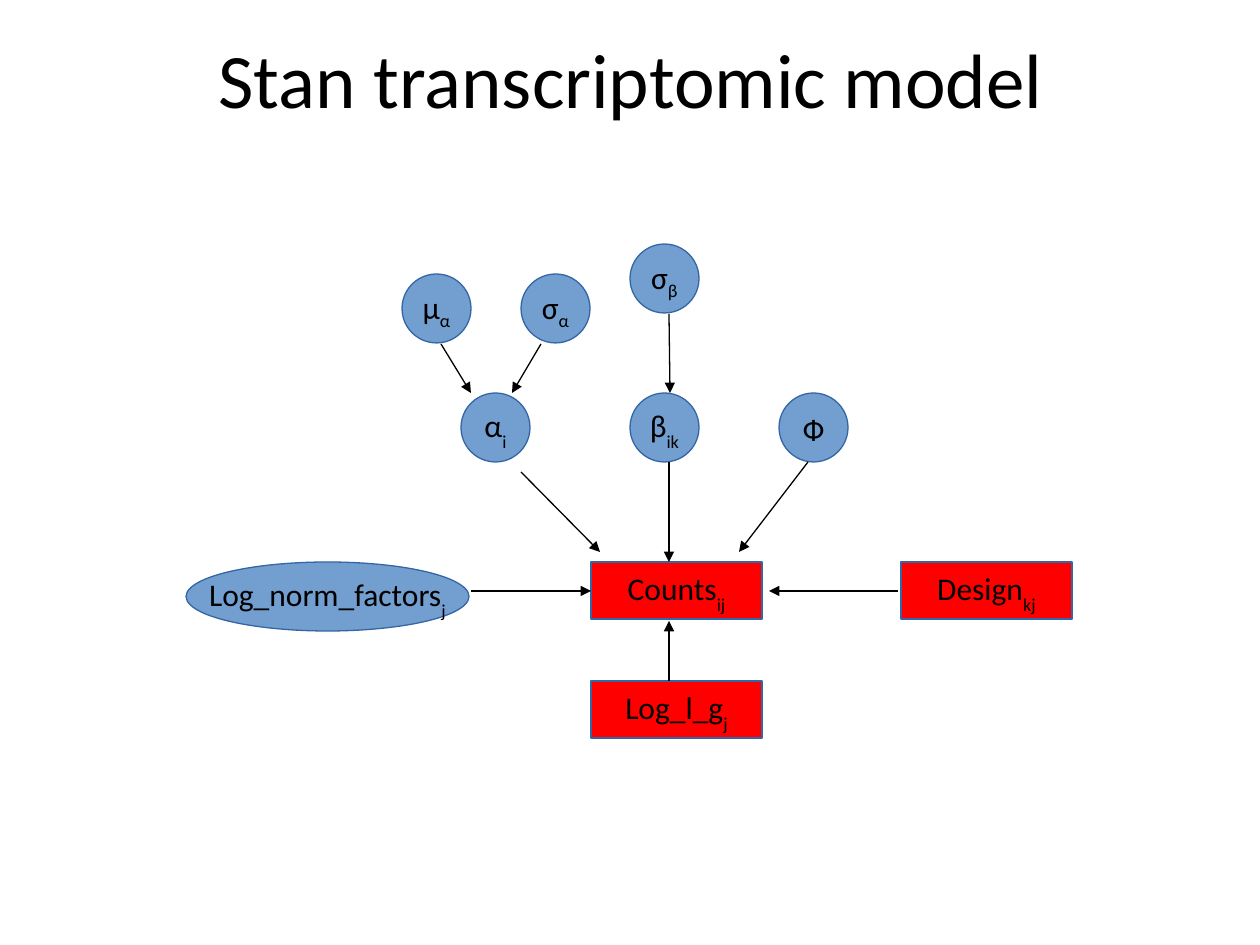
from typing import NamedTuple

from lxml import etree
from pptx import Presentation
from pptx.dml.color import RGBColor
from pptx.enum.shapes import MSO_CONNECTOR, MSO_SHAPE
from pptx.enum.text import MSO_ANCHOR, MSO_AUTO_SIZE, PP_ALIGN
from pptx.oxml.ns import qn
from pptx.util import Emu, Pt

PIXELS_PER_INCH = 126
FONT = "Calibri"
BLACK = RGBColor(0x00, 0x00, 0x00)
RED = RGBColor(0xFF, 0x00, 0x00)
BLUE = RGBColor(0x72, 0x9F, 0xCF)
OUTLINE = RGBColor(0x34, 0x65, 0xA4)
RECTANGLE, ELLIPSE = MSO_SHAPE.RECTANGLE, MSO_SHAPE.OVAL
STRAIGHT = MSO_CONNECTOR.STRAIGHT
MIDDLE = MSO_ANCHOR.MIDDLE
CENTER = PP_ALIGN.CENTER
NO_FIT = MSO_AUTO_SIZE.NONE
LINE_WIDTH = Pt(0.75)


class Kind(NamedTuple):
    shape: MSO_SHAPE
    width: int
    height: int
    fill: RGBColor


class Node(NamedTuple):
    kind: Kind
    left: int
    top: int
    label: str
    subscript: str = ""
    drop: int = -33


class Arrow(NamedTuple):
    start: tuple[int, int]
    end: tuple[int, int]


# Data are red boxes, parameters are blue ellipses
DATA = Kind(RECTANGLE, 171, 57, RED)
PARAMETER = Kind(ELLIPSE, 69, 69, BLUE)
WIDE_PARAMETER = Kind(ELLIPSE, 283, 69, BLUE)

NODES = [
    Node(DATA, 591, 562, "Counts", "ij"),
    Node(DATA, 901, 562, "Design", "kj"),
    Node(DATA, 591, 681, "Log_l_g", "j"),
    Node(WIDE_PARAMETER, 186, 562, "Log_norm_factors", "j"),
    Node(PARAMETER, 461, 393, "α", "i"),
    Node(PARAMETER, 630, 393, "β", "ik"),
    Node(PARAMETER, 779, 393, "Ф"),
    Node(PARAMETER, 630, 244, "σ", "β", -25),
    Node(PARAMETER, 402, 274, "μ", "α", -25),
    Node(PARAMETER, 521, 274, "σ", "α", -25),
]

ARROWS = [
    Arrow((441, 344), (471, 393)),
    Arrow((541, 344), (512, 393)),
    Arrow((669, 314), (670, 393)),
    Arrow((521, 472), (600, 552)),
    Arrow((669, 462), (669, 562)),
    Arrow((808, 462), (739, 552)),
    Arrow((471, 591), (591, 591)),
    Arrow((898, 591), (769, 591)),
    Arrow((669, 681), (669, 621)),
]


def px(pixels: int) -> Emu:
    return Emu(round(pixels * 914400 / PIXELS_PER_INCH))


def format_text(frame, size: int, inset_top: int) -> None:
    frame.auto_size = NO_FIT
    frame.vertical_anchor = MIDDLE
    frame.margin_left = frame.margin_right = px(13)
    frame.margin_top, frame.margin_bottom = px(inset_top), px(6)
    para = frame.paragraphs[0]
    para.alignment = CENTER
    para.font.name = FONT
    para.font.size = Pt(size)
    para.font.color.rgb = BLACK


def add_node(page, node: Node) -> None:
    kind = node.kind
    box = page.shapes.add_shape(
        kind.shape, px(node.left), px(node.top), px(kind.width), px(kind.height)
    )
    box.shadow.inherit = False
    box.fill.solid()
    box.fill.fore_color.rgb = kind.fill
    box.line.color.rgb = OUTLINE
    box.line.width = LINE_WIDTH
    frame = box.text_frame
    frame.word_wrap = False
    para = frame.paragraphs[0]
    para.add_run().text = node.label
    if node.subscript:
        span = para.add_run()
        span.text = node.subscript
        span._r.get_or_add_rPr().set("baseline", str(node.drop * 1000))
    format_text(frame, 18, 9)


def add_arrow(page, arrow: Arrow) -> None:
    line = page.shapes.add_connector(
        STRAIGHT, *map(px, arrow.start), *map(px, arrow.end)
    )
    line.line.color.rgb = BLACK
    line.line.width = LINE_WIDTH
    etree.SubElement(line.line._get_or_add_ln(), qn("a:tailEnd"), type="triangle")
    etree.SubElement(line._element.spPr, qn("a:effectLst"))


deck = Presentation()
deck.slide_width, deck.slide_height = px(1260), px(945)
page = deck.slides.add_slide(deck.slide_layouts[5])

# Title
title = page.shapes.title
title.left, title.top, title.width, title.height = px(64), px(0), px(1134), px(158)
title.text_frame.text = "Stan transcriptomic model"
format_text(title.text_frame, 44, 3)

# Model graph
for node in NODES:
    add_node(page, node)
for arrow in ARROWS:
    add_arrow(page, arrow)

deck.save("out.pptx")
